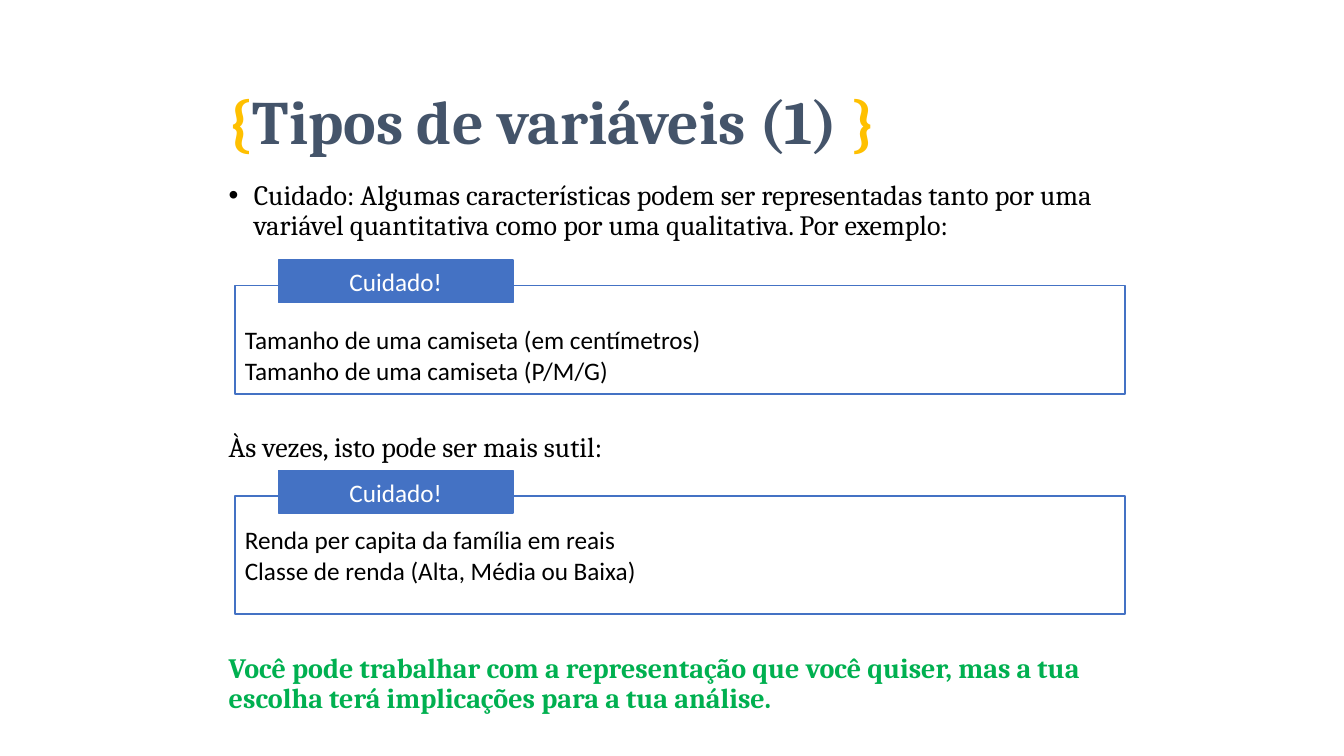
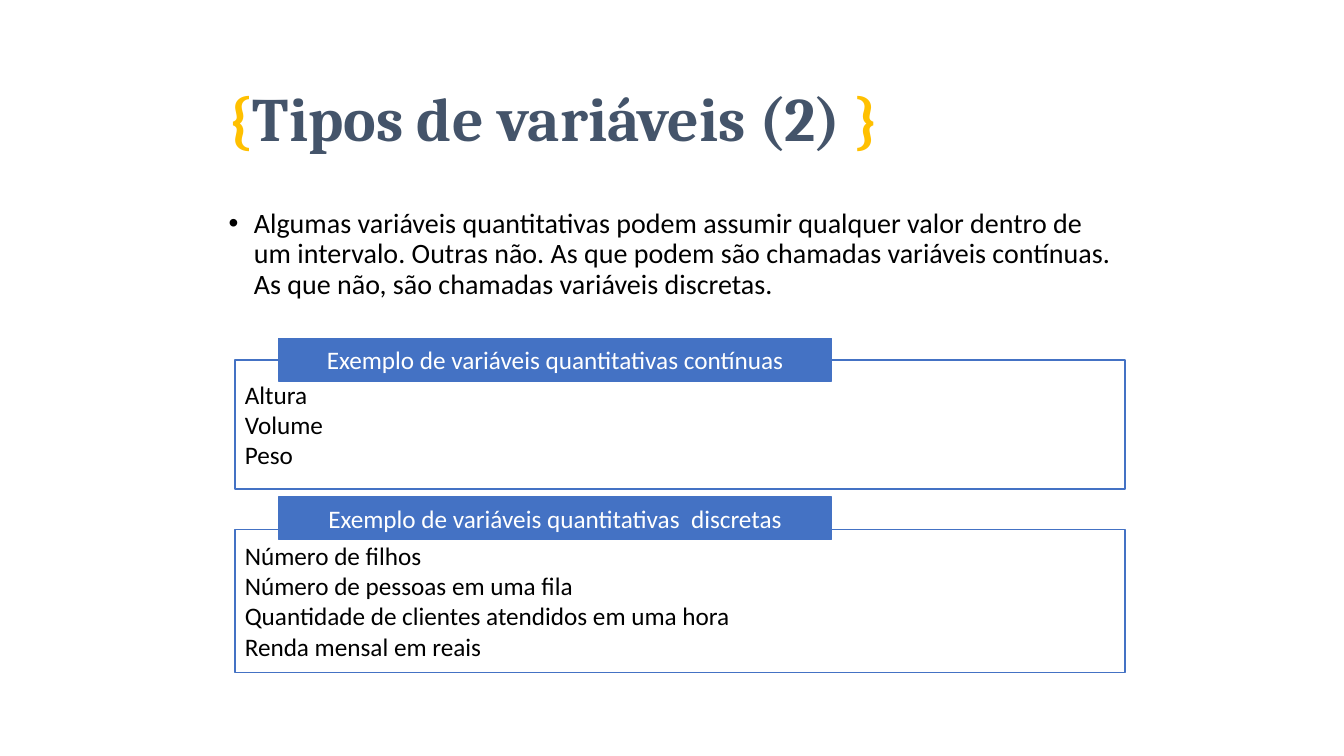
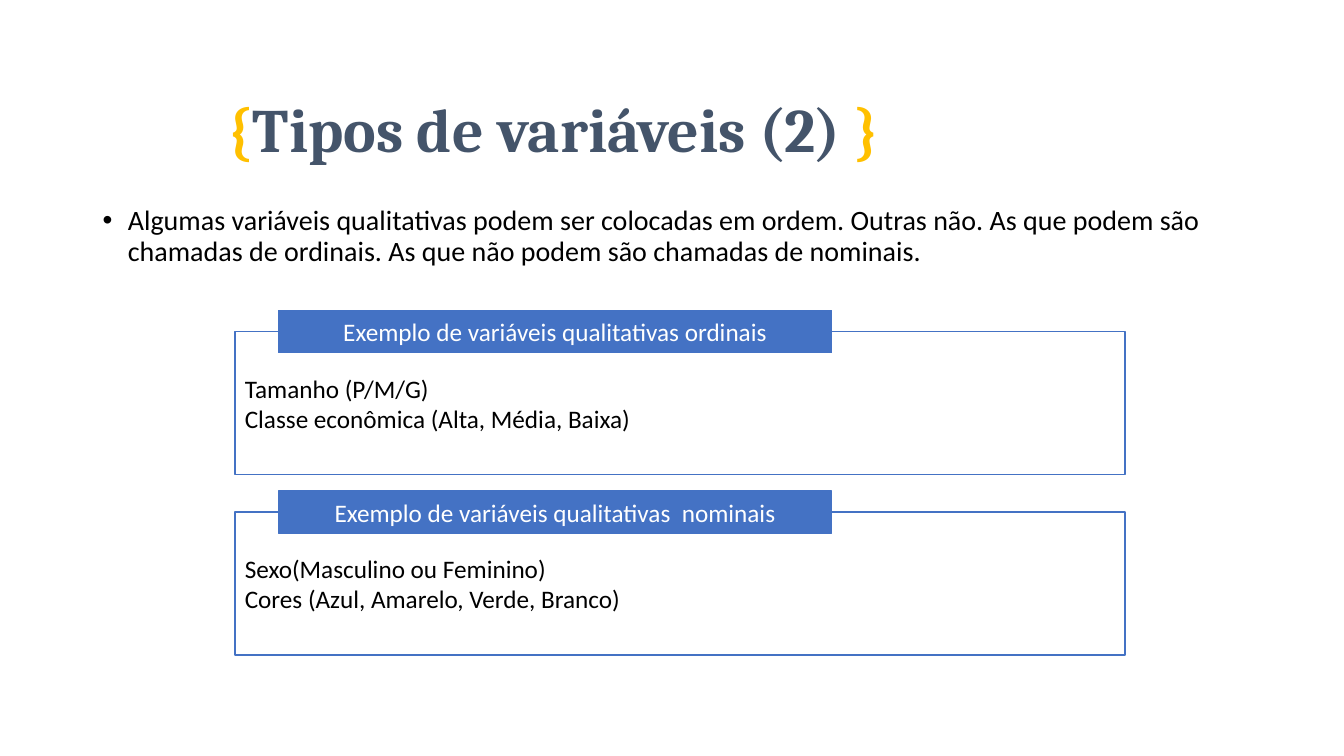
"""Build three slides on types of variables, with framed and labelled examples."""
import pptx
import pptx.dml.color
import pptx.enum.shapes
import pptx.enum.text
import pptx.oxml
import pptx.oxml.ns
import pptx.util

Inches = pptx.util.Inches
Pt = pptx.util.Pt
ANCHOR = pptx.enum.text.MSO_ANCHOR
ALIGN = pptx.enum.text.PP_ALIGN

COLOURS = {"brace": "FFC000", "title": "44546A", "text": "000000",
           "accent": "4472C4", "advice": "00B050", "label": "FFFFFF"}
SERIF, SANS = "Cambria", "Calibri"
MARGIN, COLUMN = 2.17, 9
FRAME_LEFT, FRAME_WIDTH = 2.33, 8.83
LABEL_LEFT, LABEL_HEIGHT = 2.76, 0.42
SHORT_LABEL, LONG_LABEL = 2.33, 5.49
INSET, LINE = 0.05, 0.3

SLIDES = [
    {"title": "Tipos de variáveis (1) ", "title_top": 0.61, "font": SERIF,
     "label_width": SHORT_LABEL,
     "passages": [
         {"text": "Cuidado: Algumas características podem ser representadas tanto por uma "
                  "variável quantitativa como por uma qualitativa. Por exemplo:",
          "at": (MARGIN, 1.75, COLUMN, 0.75), "bullet": True},
         {"text": "Às vezes, isto pode ser mais sutil:",
          "at": (MARGIN, 4.25, COLUMN, 0.4)},
         {"text": "Você pode trabalhar com a representação que você quiser, mas a tua "
                  "escolha terá implicações para a tua análise.",
          "at": (MARGIN, 6.44, COLUMN, 0.75), "colour": "advice", "bold": True}],
     "examples": [
         {"label": "Cuidado!", "top": 2.83, "height": 1.08, "rise": 0.25, "drop": LINE,
          "items": ["Tamanho de uma camiseta (em centímetros)",
                    "Tamanho de uma camiseta (P/M/G)"]},
         {"label": "Cuidado!", "top": 4.92, "height": 1.17, "rise": 0.25,
          "items": ["Renda per capita da família em reais",
                    "Classe de renda (Alta, Média ou Baixa)"]}]},
    {"title": "Tipos de variáveis (2) ", "title_top": 0.58, "font": SANS,
     "label_width": LONG_LABEL,
     "passages": [
         {"text": "Algumas variáveis quantitativas podem assumir qualquer valor dentro de "
                  "um intervalo. Outras não. As que podem são chamadas variáveis contínuas. "
                  "As que não, são chamadas variáveis discretas.",
          "at": (MARGIN, 2.03, COLUMN, 1.1), "bullet": True}],
     "examples": [
         {"label": "Exemplo de variáveis quantitativas contínuas",
          "top": 3.57, "height": 1.28, "rise": 0.21,
          "items": ["Altura", "Volume", "Peso"]},
         {"label": "Exemplo de variáveis quantitativas  discretas",
          "top": 5.25, "height": 1.42, "rise": 0.32,
          "items": ["Número de filhos", "Número de pessoas em uma fila",
                    "Quantidade de clientes atendidos em uma hora",
                    "Renda mensal em reais"]}]},
    {"title": "Tipos de variáveis (2) ", "title_top": 0.69, "font": SANS,
     "label_width": LONG_LABEL,
     "passages": [
         {"text": "Algumas variáveis qualitativas podem ser colocadas em ordem. Outras não. "
                  "As que podem são chamadas de ordinais. As que não podem são chamadas "
                  "de nominais.",
          "at": (0.92, 2, 11.5, 0.75), "bullet": True}],
     "examples": [
         {"label": "Exemplo de variáveis qualitativas ordinais",
          "top": 3.29, "height": 1.42, "rise": 0.21,
          "items": ["Tamanho (P/M/G)", "Classe econômica (Alta, Média, Baixa)"]},
         {"label": "Exemplo de variáveis qualitativas  nominais",
          "top": 5.08, "height": 1.42, "rise": 0.21,
          "items": ["Sexo(Masculino ou Feminino)",
                    "Cores (Azul, Amarelo, Verde, Branco)"]}]},
]


def rgb(name):
    return pptx.dml.color.RGBColor.from_string(COLOURS[name])


def add_run(paragraph, text, font, size, colour, bold=False):
    run = paragraph.add_run()
    run.text = text
    run.font.name, run.font.size, run.font.bold = font, Pt(size), bold
    run.font.color.rgb = rgb(colour)


def add_textbox(slide, at, anchor):
    frame = slide.shapes.add_textbox(*map(Inches, at)).text_frame
    frame.word_wrap = True
    frame.vertical_anchor = anchor
    paragraph = frame.paragraphs[0]
    paragraph.line_spacing = 0.9
    return paragraph


def add_title(slide, text, top):
    heading = add_textbox(slide, (MARGIN, top, COLUMN, 1.25), ANCHOR.MIDDLE)
    for part, colour in (("{", "brace"), (text, "title"), ("}", "brace")):
        add_run(heading, part, SERIF, 44, colour, True)


def add_bullet(paragraph):
    properties = paragraph._p.get_or_add_pPr()
    properties.set("marL", str(Inches(0.25)))
    properties.set("indent", str(-Inches(0.25)))
    namespace = pptx.oxml.ns.nsdecls("a")
    for element in ('buFont {} typeface="Arial"', 'buChar {} char="•"'):
        properties.append(pptx.oxml.parse_xml(f"<a:{element.format(namespace)}/>"))


def add_passage(slide, passage, font):
    paragraph = add_textbox(slide, passage["at"], ANCHOR.TOP)
    if passage.get("bullet"):
        add_bullet(paragraph)
    add_run(paragraph, passage["text"], font, 20,
            passage.get("colour", "text"), passage.get("bold", False))


def add_box(slide, at, lines, colour, align, filled=False, drop=0):
    box = slide.shapes.add_shape(pptx.enum.shapes.MSO_SHAPE.RECTANGLE, *map(Inches, at))
    box.shadow.inherit = False
    if filled:
        box.fill.solid()
        box.fill.fore_color.rgb = rgb("accent")
    else:
        box.fill.background()
    box.line.color.rgb = rgb("accent")
    box.line.width = Pt(1)
    frame = box.text_frame
    frame.word_wrap = True
    frame.vertical_anchor = ANCHOR.MIDDLE
    frame.margin_top = Inches(INSET + drop)
    for index, line in enumerate(lines):
        paragraph = frame.add_paragraph() if index else frame.paragraphs[0]
        paragraph.alignment = align
        add_run(paragraph, line, SANS, 18, colour)


def add_example(slide, example, label_width):
    top = example["top"]
    add_box(slide, (FRAME_LEFT, top, FRAME_WIDTH, example["height"]),
            example["items"], "text", ALIGN.LEFT, drop=example.get("drop", 0))
    add_box(slide, (LABEL_LEFT, top - example["rise"], label_width, LABEL_HEIGHT),
            [example["label"]], "label", ALIGN.CENTER, filled=True)


def main():
    deck = pptx.Presentation()
    deck.slide_width, deck.slide_height = Inches(13.33), Inches(7.5)
    for content in SLIDES:
        slide = deck.slides.add_slide(deck.slide_layouts[6])
        add_title(slide, content["title"], content["title_top"])
        for passage in content["passages"]:
            add_passage(slide, passage, content["font"])
        for example in content["examples"]:
            add_example(slide, example, content["label_width"])
    deck.save("out.pptx")


if __name__ == "__main__":
    main()
